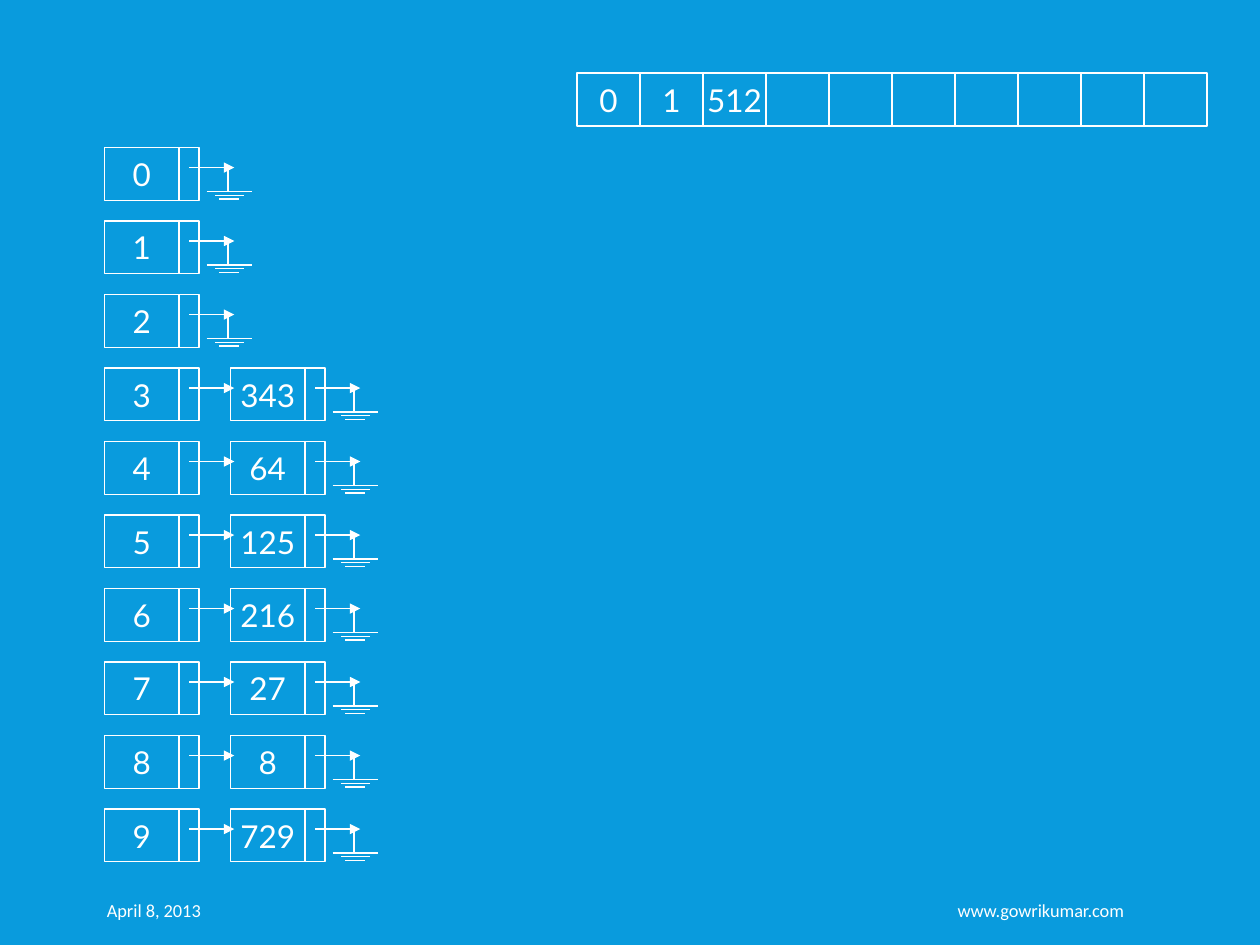
from lxml import etree
from pptx import Presentation
from pptx.dml.color import RGBColor
from pptx.enum.shapes import MSO_CONNECTOR, MSO_SHAPE
from pptx.enum.text import MSO_ANCHOR, PP_ALIGN
from pptx.oxml.ns import qn
from pptx.util import Inches, Pt

RECT = MSO_SHAPE.RECTANGLE
STRAIGHT = MSO_CONNECTOR.STRAIGHT
MIDDLE = MSO_ANCHOR.MIDDLE
CENTER, LEFT, RIGHT = PP_ALIGN.CENTER, PP_ALIGN.LEFT, PP_ALIGN.RIGHT
WHITE = RGBColor.from_string("FFFFFF")
BLUE = RGBColor.from_string("099BDD")
BOX_H = 0.42


def add_box(shapes, x, y, w, text=""):
    sp = shapes.add_shape(RECT, Inches(x), Inches(y), Inches(w), Inches(BOX_H))
    sp.shadow.inherit = False
    sp.fill.background()
    sp.line.color.rgb = WHITE
    sp.line.width = Pt(0.75)
    if text:
        tf = sp.text_frame
        tf.word_wrap = False
        tf.vertical_anchor = MIDDLE
        p = tf.paragraphs[0]
        p.alignment = CENTER
        r = p.add_run()
        r.text = text
        r.font.name = "Lato"
        r.font.size = Pt(18)
        r.font.color.rgb = WHITE


def add_line(shapes, x1, y1, x2, y2, arrow=False):
    line = shapes.add_connector(STRAIGHT, Inches(x1), Inches(y1), Inches(x2), Inches(y2))
    line.line.color.rgb = WHITE
    line.line.width = Pt(0.75)
    if arrow:
        etree.SubElement(line.line._get_or_add_ln(), qn("a:tailEnd"), type="triangle")
    etree.SubElement(line._element.spPr, qn("a:effectLst"))


prs = Presentation()
prs.slide_width, prs.slide_height = Inches(10), Inches(7.5)
s = prs.slides.add_slide(prs.slide_layouts[6])
s.background.fill.solid()
s.background.fill.fore_color.rgb = BLUE

# Footer: date and web address
footers = [
    ("April 8, 2013", 0.75, 2.84, LEFT, 0.1, 0.05),
    ("www.gowrikumar.com", 4.58, 4.44, RIGHT, 0.1, 0.1),
]
for text, x, w, align, inset_left, inset_right in footers:
    tf = s.shapes.add_textbox(Inches(x), Inches(7.02), Inches(w), Inches(0.4)).text_frame
    tf.word_wrap = True
    tf.vertical_anchor = MIDDLE
    tf.margin_left, tf.margin_right = Inches(inset_left), Inches(inset_right)
    p = tf.paragraphs[0]
    p.alignment = align
    r = p.add_run()
    r.text = text
    r.font.name = "Calibri"
    r.font.size = Pt(10.5)
    r.font.color.rgb = WHITE

# Output array of ten cells
for i, value in enumerate(["0", "1", "512"] + [""] * 7):
    add_box(s.shapes, 4.58 + 0.5 * i, 0.58, 0.5, value)

# Bucket lists: one row per digit, the last node of each is grounded
buckets = [[], [], [], ["343"], ["64"], ["125"], ["216"], ["27"], ["8"], ["729"]]
for digit, values in enumerate(buckets):
    y = 1.17 + digit * 7 / 12
    chain = [str(digit)] + values
    for i, value in enumerate(chain):
        x = 0.83 + i
        node = s.shapes.add_group_shape().shapes
        add_box(node, x, y, 0.59, value)
        add_box(node, x + 0.59, y, 0.16)
        add_line(node, x + 0.67, y + 0.16, x + 1.03, y + 0.16, arrow=True)
        if i == len(chain) - 1:
            # Ground symbol: stem and three shrinking bars
            add_line(node, x + 0.98, y + 0.35, x + 0.98, y + 0.16)
            for left, right, drop in [(0.81, 1.17, 0.35), (0.88, 1.11, 0.38), (0.91, 1.07, 0.41)]:
                add_line(node, x + left, y + drop, x + right, y + drop)

prs.save("out.pptx")
